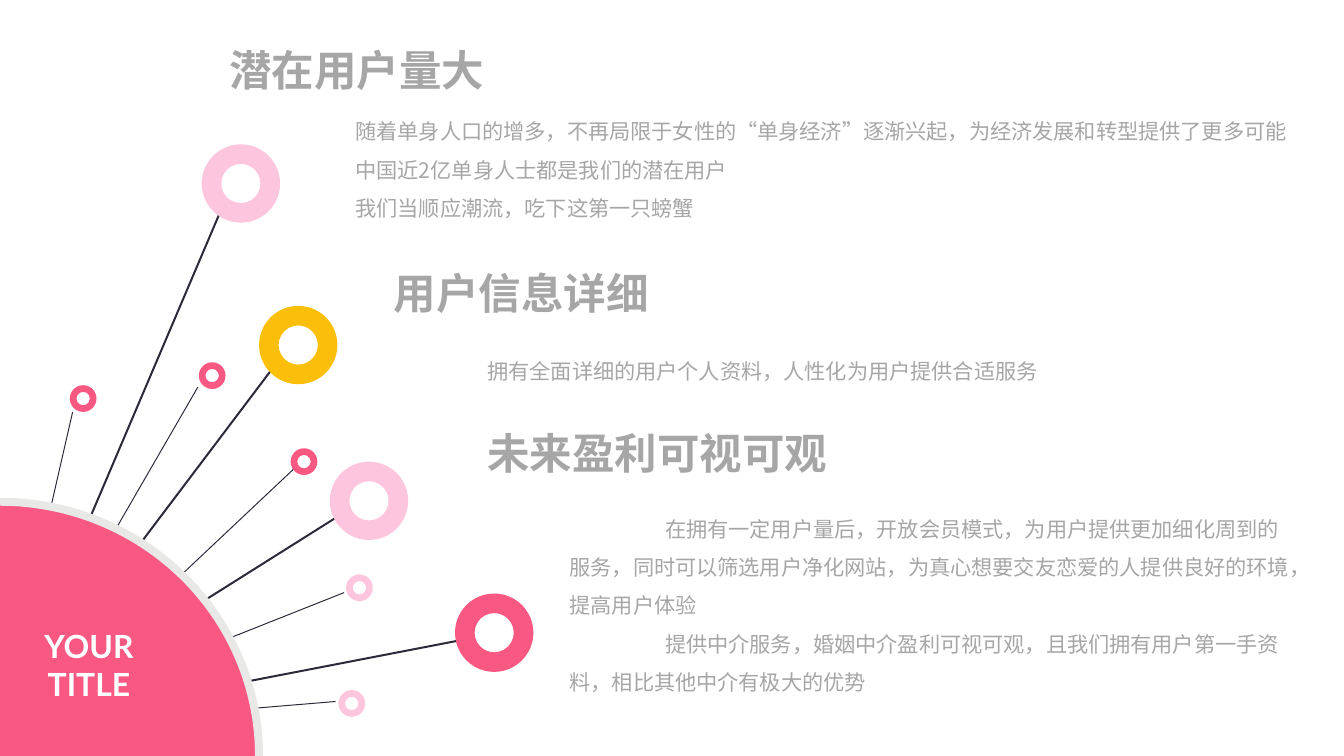
import math
import pptx
import pptx.util
import pptx.dml.color
import pptx.enum.shapes
import pptx.enum.text
import pptx.oxml.ns
import lxml.etree

Inches = pptx.util.Inches
Pt = pptx.util.Pt
RGBColor = pptx.dml.color.RGBColor

ROSE = RGBColor(0xF9, 0x58, 0x83)
PINK = RGBColor(0xFE, 0xC5, 0xDE)
GOLD = RGBColor(0xFB, 0xBF, 0x09)
DARK = RGBColor(0x2B, 0x29, 0x39)
RIM = RGBColor(0xE8, 0xE8, 0xE6)
GRAY = RGBColor(0xA6, 0xA6, 0xA6)
WHITE = RGBColor(0xFF, 0xFF, 0xFF)

WIDE, HIGH = 14.06, 7.91
LARGE, SMALL = 0.82, 0.28
THICK, THIN = 1.5, 0.75
HUB = (0, 7.63)

SPOKES = [
    ((3.51, 7.34), HUB, THIN),
    ((0.76, 4.31), HUB, THIN),
    ((2.07, 4.05), HUB, THIN),
    ((3.6, 6.2), HUB, THIN),
    ((2.32, 2.18), HUB, THICK),
    ((2.87, 3.83), HUB, THICK),
    ((3.54, 5.4), HUB, THICK),
    ((4.81, 6.7), HUB, THICK),
    ((3.08, 4.9), (-0.04, 7.84), THIN),
]

RINGS = [
    (2.22, 3.93, SMALL, ROSE),
    (3.18, 4.83, SMALL, ROSE),
    (3.76, 6.15, SMALL, PINK),
    (5.17, 6.62, LARGE, ROSE),
    (2.52, 1.92, LARGE, PINK),
    (3.12, 3.61, LARGE, GOLD),
    (3.86, 5.24, LARGE, PINK),
    (0.87, 4.17, SMALL, ROSE),
    (3.68, 7.36, SMALL, PINK),
]

TOPICS = [
    ((2.3, 0.31, 11.59, 2.06), (3.13, 0.75), 1.2, "潜在用户量大", (1.32, 0.75), 0, [
        "随着单身人口的增多，不再局限于女性的“单身经济”逐渐兴起，为经济发展和转型提供了更多可能",
        "中国近2亿单身人士都是我们的潜在用户",
        "我们当顺应潮流，吃下这第一只螃蟹",
    ]),
    ((4.02, 2.74, 9.86, 1.33), (3.89, 0.64), 1, "用户信息详细", (0.98, 0.83), 0, [
        "拥有全面详细的用户个人资料，人性化为用户提供合适服务",
    ]),
    ((5, 4.31, 8.7, 3.03), (3.8, 0.75), 1.2, "未来盈利可视可观", (0.86, 0.91), 1, [
        "在拥有一定用户量后，开放会员模式，为用户提供更加细化周到的服务，"
        "同时可以筛选用户净化网站，为真心想要交友恋爱的人提供良好的环境，提高用户体验",
        "提供中介服务，婚姻中介盈利可视可观，且我们拥有用户第一手资料，相比其他中介有极大的优势",
    ]),
]


def add_text(slide, box, lines, face, size, color, bold=False, space=1, indent=0, align=None):
    frame = slide.shapes.add_textbox(*map(Inches, box)).text_frame
    frame.word_wrap = True
    frame.auto_size = pptx.enum.text.MSO_AUTO_SIZE.SHAPE_TO_FIT_TEXT
    frame.text = "\n".join(lines)
    for para in frame.paragraphs:
        para.font.name = face
        para.font.size = Pt(size)
        para.font.bold = bold
        para.font.color.rgb = color
        para.line_spacing = space
        para.alignment = align
        if indent:
            para._p.get_or_add_pPr().set("indent", str(Inches(indent)))


def draw_fan(slide, box):
    left, top = box[:2]
    for start, end, width in SPOKES:
        spoke = slide.shapes.add_connector(
            pptx.enum.shapes.MSO_CONNECTOR.STRAIGHT,
            Inches(left + start[0]), Inches(top + start[1]),
            Inches(left + end[0]), Inches(top + end[1]))
        spoke.line.color.rgb = DARK
        spoke.line.width = Pt(width)
        lxml.etree.SubElement(spoke._element.spPr, pptx.oxml.ns.qn("a:effectLst"))
    for x, y, size, color in RINGS:
        ring = slide.shapes.add_shape(
            pptx.enum.shapes.MSO_SHAPE.DONUT,
            Inches(left + x - size / 2), Inches(top + y - size / 2),
            Inches(size), Inches(size))
        ring.shadow.inherit = False
        ring.fill.solid()
        ring.fill.fore_color.rgb = color
        ring.line.fill.background()


def draw_hub(slide, box):
    left, top, width, height = box
    base = top + height
    turns = [math.radians(step * 1.5) for step in range(61)]
    curve = [(Inches(left + width * math.sin(turn)),
              Inches(base - height * math.cos(turn))) for turn in turns]

    def trace(points, close):
        path = slide.shapes.build_freeform(*points[0])
        path.add_line_segments(points[1:], close=close)
        shape = path.convert_to_shape()
        shape.shadow.inherit = False
        return shape

    disc = trace(curve + [(Inches(left), Inches(base))], True)
    disc.fill.solid()
    disc.fill.fore_color.rgb = ROSE
    disc.line.fill.background()
    edge = trace(curve, False)
    edge.fill.background()
    edge.line.color.rgb = RIM
    edge.line.width = Pt(6)
    add_text(slide, (left + 0.12, top + 1.26, 1.62, 0.91), ["YOUR TITLE"],
             "Lato", 24, WHITE, bold=True, align=pptx.enum.text.PP_ALIGN.CENTER)


def draw_topic(slide, box, head, space, title, shift, indent, lines):
    left, top, width, height = box
    dx, dy = shift
    add_text(slide, (left + dx, top + dy, width - dx, height - dy), lines,
             "Noto Sans CJK SC", 16, GRAY, space=1.5, indent=indent)
    add_text(slide, (left, top, *head), [title], "Arial", 32, GRAY, bold=True, space=space)


def main():
    deck = pptx.Presentation()
    deck.slide_width, deck.slide_height = Inches(WIDE), Inches(HIGH)
    slide = deck.slides.add_slide(deck.slide_layouts[6])
    draw_fan(slide, (0, 0, 5.58, HIGH))
    draw_hub(slide, (0, 5.25, 2.71, 2.66))
    for topic in TOPICS:
        draw_topic(slide, *topic)
    deck.save("out.pptx")


if __name__ == "__main__":
    main()
